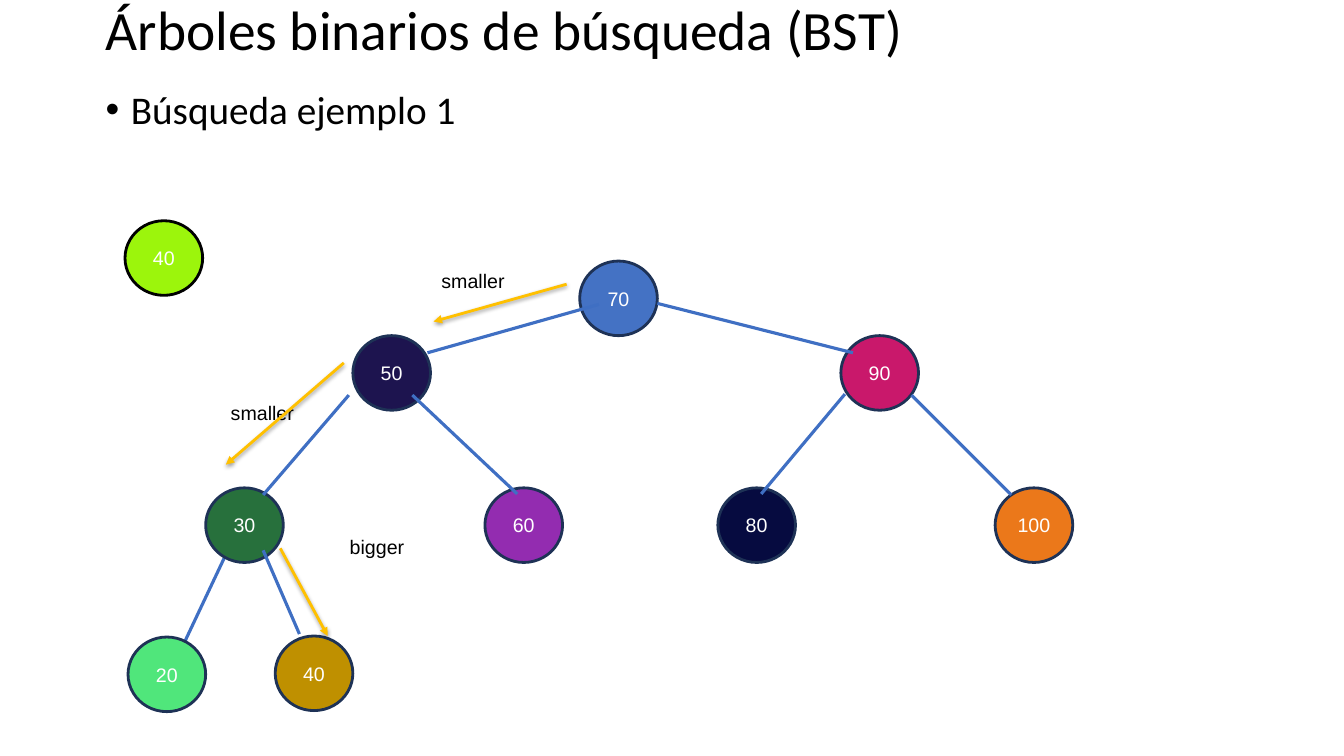
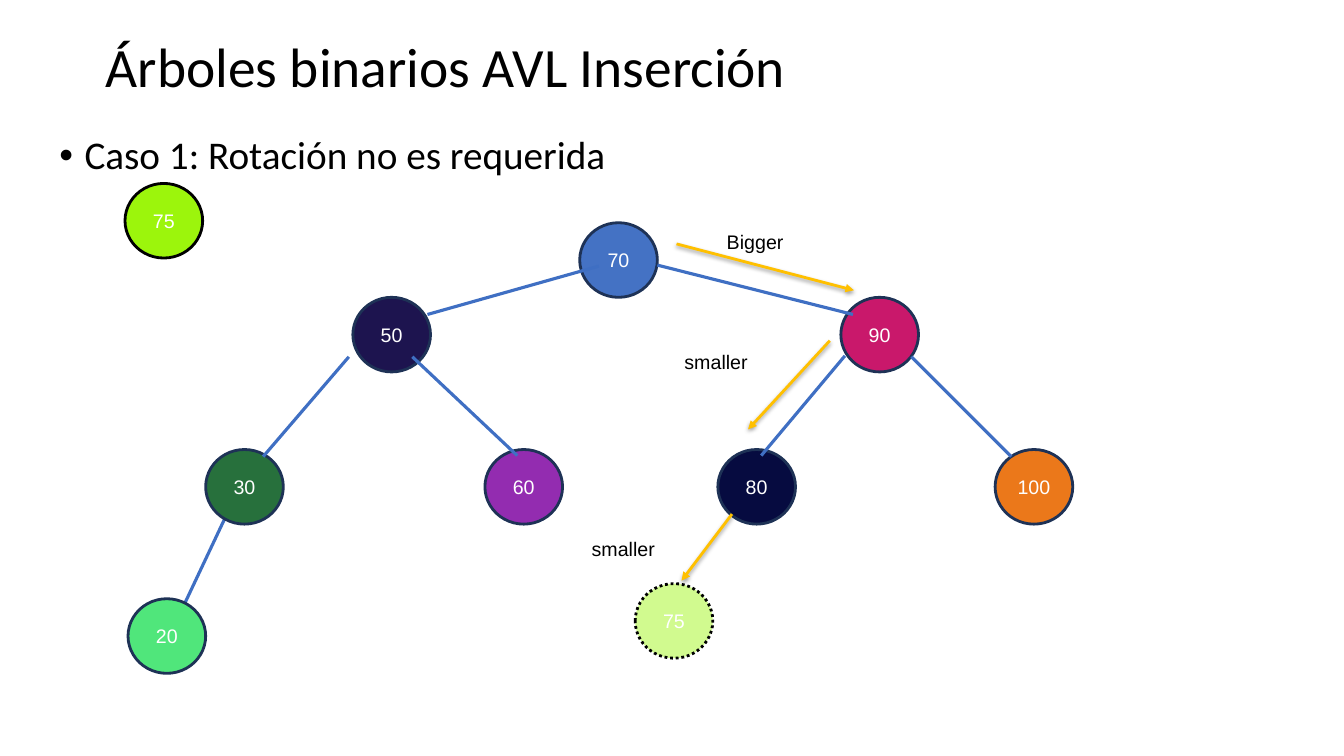
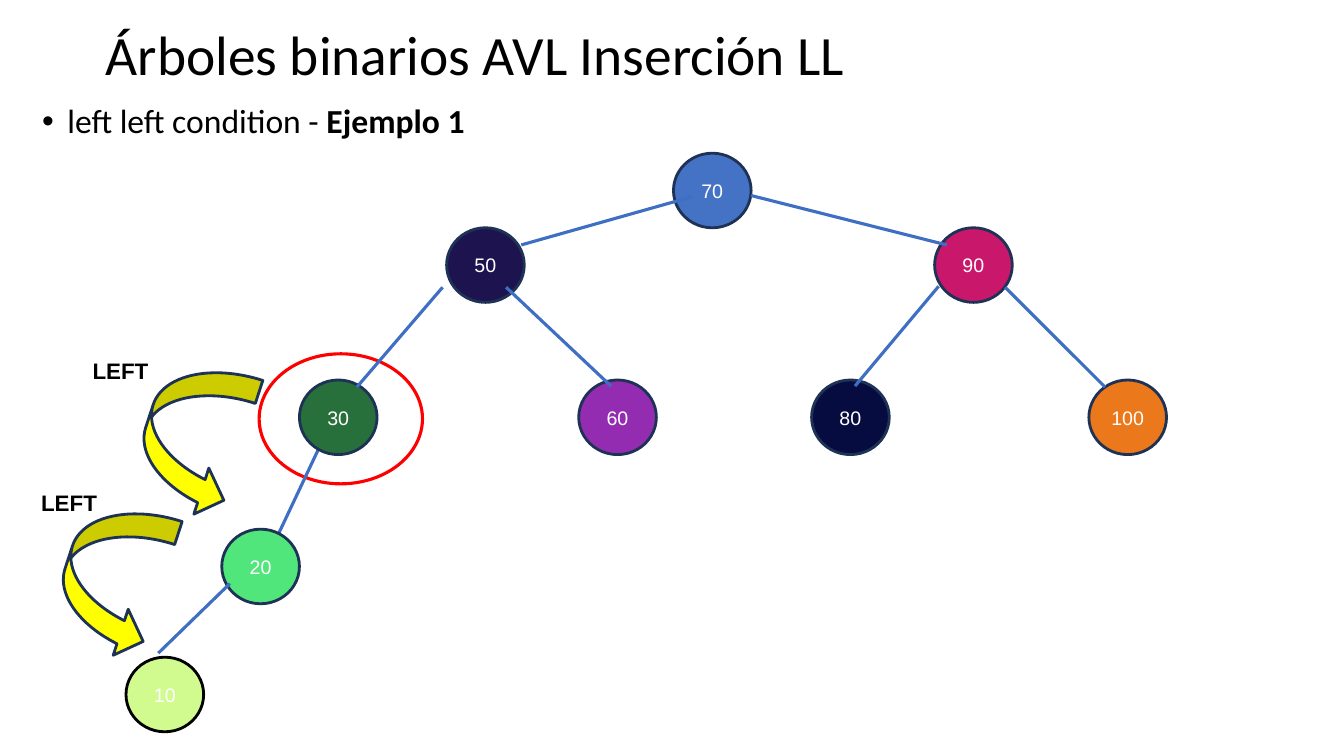
from lxml.etree import SubElement
from pptx import Presentation
from pptx.dml.color import RGBColor
from pptx.enum.dml import MSO_LINE
from pptx.enum.shapes import MSO_CONNECTOR, MSO_SHAPE
from pptx.enum.text import MSO_ANCHOR, MSO_AUTO_SIZE, PP_ALIGN
from pptx.oxml.ns import qn
from pptx.util import Inches, Pt

# Shared colours
BLACK, WHITE = "000000", "FFFFFF"
EDGE, OUTLINE, STEP = "3F6FC3", "1E3256", "FFC000"
LIME, RED, YELLOW = "9CF50C", "FF0000", "FFFF00"

# The tree: value, offset from the root's corner, fill
NODES = [
    ("70", 0, 0, "4472C4"),
    ("90", 2.59, 0.74, "C9186B"),
    ("80", 1.37, 2.25, "060B40"),
    ("60", -0.94, 2.25, "932CB0"),
    ("30", -3.71, 2.25, "27703C"),
    ("50", -2.25, 0.74, "1D144F"),
    ("100", 4.12, 2.25, "EB781A"),
    ("20", -4.48, 3.73, "50E67B"),
]
# Edges as offsets from the root's corner: start, end
LOWEST_EDGE = (-3.49, 2.87, -3.99, 3.93)
EDGES = [
    (0.19, 0.43, -1.51, 0.91),
    (-2.29, 1.33, -3.14, 2.32),
    (-1.66, 1.33, -0.62, 2.31),
    (0.77, 0.42, 2.71, 0.91),
    (2.63, 1.32, 1.8, 2.31),
    (3.29, 1.33, 4.28, 2.32),
]


def color(value):
    return RGBColor.from_string(value)


class Deck:
    """Holds the style and the slide being filled."""

    heading_font, label_font = "Calibri", "Arial"
    node_width, node_height = 0.77, 0.74

    def __init__(self):
        self.presentation = Presentation()
        self.presentation.slide_width = Inches(13.33)
        self.presentation.slide_height = Inches(7.5)
        self.slide = None

    def add_run(self, paragraph, text, size, font, fill=BLACK, bold=False):
        run = paragraph.add_run()
        run.text = text
        run.font.size = Pt(size)
        run.font.name = font
        run.font.bold = bold
        run.font.color.rgb = color(fill)

    def new_slide(self, text, top):
        self.slide = self.presentation.slides.add_slide(self.presentation.slide_layouts[5])
        title = self.slide.shapes.title
        title.left, title.top = Inches(0.95), Inches(top)
        title.width, title.height = Inches(11.47), Inches(0.62)
        frame = title.text_frame
        frame.auto_size = MSO_AUTO_SIZE.NONE
        frame.vertical_anchor = MSO_ANCHOR.MIDDLE
        paragraph = frame.paragraphs[0]
        paragraph.alignment = PP_ALIGN.LEFT
        paragraph.line_spacing = 0.9
        self.add_run(paragraph, text, 39.6, self.heading_font)

    def text_box(self, left, top, width, height):
        frame = self.slide.shapes.add_textbox(
            Inches(left), Inches(top), Inches(width), Inches(height)).text_frame
        frame.word_wrap = True
        return frame.paragraphs[0]

    def bullet(self, left, top, text, size=28, bold_text=None):
        paragraph = self.text_box(left, top, 11.6, 0.61)
        properties = paragraph._p.get_or_add_pPr()
        properties.set("marL", str(Inches(0.25)))
        properties.set("indent", str(-Inches(0.25)))
        SubElement(properties, qn("a:buFont")).set("typeface", "Arial")
        SubElement(properties, qn("a:buChar")).set("char", "•")
        paragraph.alignment = PP_ALIGN.JUSTIFY
        paragraph.line_spacing = 0.9
        self.add_run(paragraph, text, size, self.heading_font)
        if bold_text:
            self.add_run(paragraph, bold_text, size, self.heading_font, bold=True)

    def label(self, left, top, text, size=14, bold=False):
        paragraph = self.text_box(left, top, 1.2, 0.35)
        self.add_run(paragraph, text, size, self.label_font, bold=bold)

    def shape(self, kind, left, top, width, height, fill, line, line_width=2):
        shape = self.slide.shapes.add_shape(
            kind, Inches(left), Inches(top), Inches(width), Inches(height))
        shape.shadow.inherit = False
        if fill:
            shape.fill.solid()
            shape.fill.fore_color.rgb = color(fill)
        else:
            shape.fill.background()
        shape.line.color.rgb = color(line)
        shape.line.width = Pt(line_width)
        return shape

    def node(self, text, left, top, fill, line=OUTLINE, opacity=None, dotted=False):
        shape = self.shape(MSO_SHAPE.FLOWCHART_CONNECTOR, left, top,
                           self.node_width, self.node_height, fill, line)
        if opacity:
            tint = shape.element.spPr.find(qn("a:solidFill")).find(qn("a:srgbClr"))
            SubElement(tint, qn("a:alpha")).set("val", str(opacity * 1000))
        if dotted:
            shape.line.dash_style = MSO_LINE.ROUND_DOT
        frame = shape.text_frame
        frame.word_wrap = False
        frame.vertical_anchor = MSO_ANCHOR.MIDDLE
        frame.paragraphs[0].alignment = PP_ALIGN.CENTER
        self.add_run(frame.paragraphs[0], text, 14, self.label_font, WHITE)

    def line(self, x1, y1, x2, y2, stroke=EDGE, width=2.25):
        connector = self.slide.shapes.add_connector(
            MSO_CONNECTOR.STRAIGHT, Inches(x1), Inches(y1), Inches(x2), Inches(y2))
        connector.line.color.rgb = color(stroke)
        connector.line.width = Pt(width)
        effects = SubElement(connector.element.spPr, qn("a:effectLst"))
        return connector, effects

    def step_arrow(self, x1, y1, x2, y2):
        connector, effects = self.line(x1, y1, x2, y2, STEP, 2)
        SubElement(connector.line._get_or_add_ln(), qn("a:tailEnd")).set("type", "triangle")
        shadow = SubElement(effects, qn("a:outerShdw"), blurRad="40000", dist="20000",
                            dir="5400000", rotWithShape="0")
        tint = SubElement(shadow, qn("a:srgbClr"), val=BLACK)
        SubElement(tint, qn("a:alpha"), val="38000")

    def turn_arrow(self, left, top):
        arrow = self.shape(MSO_SHAPE.CURVED_RIGHT_ARROW, left, top, 0.96, 1.49,
                           YELLOW, OUTLINE)
        arrow.rotation = 18

    def tree(self, left, top):
        def edge(x1, y1, x2, y2):
            self.line(left + x1, top + y1, left + x2, top + y2)

        edge(*LOWEST_EDGE)
        for text, x, y, fill in NODES:
            self.node(text, left + x, top + y, fill)
        for ends in EDGES:
            edge(*ends)


def search_slide(deck):
    deck.new_slide("Árboles binarios de búsqueda (BST)", 0.01)
    deck.bullet(0.95, 0.85, "Búsqueda ejemplo 1")
    deck.tree(5.75, 2.59)
    deck.node("40", 2.73, 6.31, "BF9000")
    deck.line(2.61, 5.46, 2.97, 6.29)
    deck.node("40", 1.24, 2.19, LIME, BLACK)
    # Path of the search
    deck.label(2.19, 3.93, "smaller")
    deck.step_arrow(2.78, 5.44, 3.25, 6.31)
    deck.step_arrow(3.41, 3.6, 2.24, 4.61)
    deck.step_arrow(5.62, 2.82, 4.3, 3.19)
    deck.label(4.28, 2.62, "smaller")
    deck.label(3.37, 5.26, "bigger")


def insertion_slide(deck):
    deck.new_slide("Árboles binarios AVL Inserción", 0.38)
    deck.bullet(0.49, 1.3, "Caso 1: Rotación no es requerida")
    deck.tree(5.75, 2.21)
    deck.node("75", 1.24, 1.82, LIME, BLACK)
    # Path to the new leaf
    deck.step_arrow(8.23, 3.38, 7.42, 4.26)
    deck.step_arrow(6.71, 2.42, 8.47, 2.88)
    deck.step_arrow(7.26, 5.1, 6.76, 5.76)
    deck.label(6.69, 3.42, "smaller")
    deck.label(7.11, 2.23, "Bigger")
    deck.label(5.77, 5.28, "smaller")
    deck.node("75", 6.3, 5.79, LIME, BLACK, opacity=46, dotted=True)


def left_left_slide(deck):
    deck.new_slide("Árboles binarios AVL Inserción LL", 0.26)
    deck.bullet(0.32, 0.99, "left left condition - ", 24, "Ejemplo 1")
    # Unbalanced node, ringed behind the tree
    deck.shape(MSO_SHAPE.OVAL, 2.57, 3.51, 1.62, 1.29, None, RED, 2.25)
    deck.tree(6.68, 1.52)
    deck.node("10", 1.25, 6.52, LIME, BLACK, opacity=46)
    deck.line(2.28, 5.79, 1.57, 6.48)
    # The two left turns
    for arrow_left, arrow_top, label_left, label_top in [
            (1.44, 3.59, 0.82, 3.49), (0.64, 4.99, 0.31, 4.8)]:
        deck.turn_arrow(arrow_left, arrow_top)
        deck.label(label_left, label_top, "LEFT", 16, bold=True)


def main():
    deck = Deck()
    search_slide(deck)
    insertion_slide(deck)
    left_left_slide(deck)
    deck.presentation.save("out.pptx")


if __name__ == "__main__":
    main()
